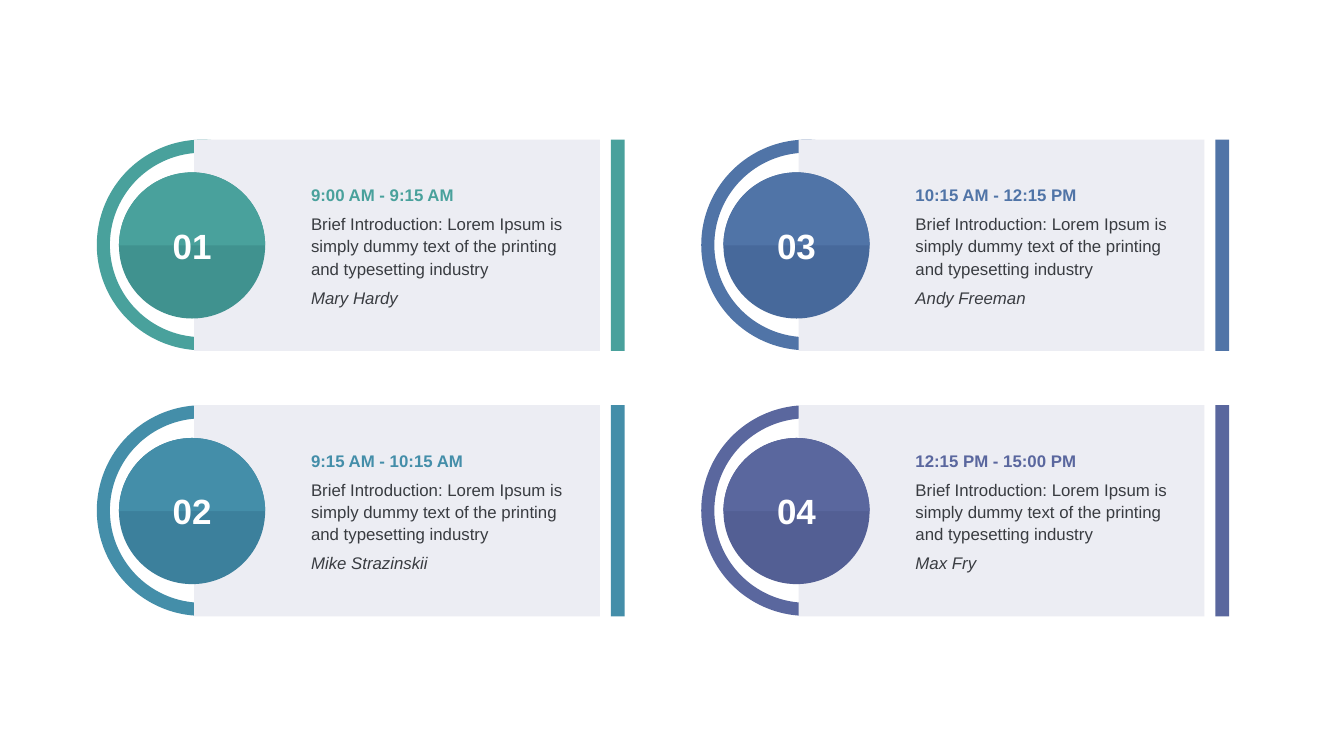
from math import cos, pi, sin

from pptx import Presentation
from pptx.dml.color import RGBColor
from pptx.enum.shapes import MSO_SHAPE
from pptx.enum.text import MSO_ANCHOR, MSO_AUTO_SIZE, PP_ALIGN
from pptx.util import Inches, Pt

RECT, OVAL, DONUT = MSO_SHAPE.RECTANGLE, MSO_SHAPE.OVAL, MSO_SHAPE.DONUT
MIDDLE = MSO_ANCHOR.MIDDLE
GROW, FIXED = MSO_AUTO_SIZE.SHAPE_TO_FIT_TEXT, MSO_AUTO_SIZE.NONE
LEFT, CENTER = PP_ALIGN.LEFT, PP_ALIGN.CENTER

FONT = "Arial"
PANEL, INK, WHITE = "ECEDF3", "393C41", "FFFFFF"
CARD_X, CARD_Y = 1.92, 2.77
COLUMN_STEP, ROW_STEP = 11.99, 5.27
ROWS = 2
RING_SIZE, RING_WIDTH = 4.18, 0.26
DISC_RADIUS = 1.45
INSET = 0.06
INTRO = "Brief Introduction: Lorem Ipsum is simply dummy text of the printing and typesetting industry"
SESSIONS = [
    ("9:00 AM - 9:15 AM", "Mary Hardy", "49A19C", "40928F"),
    ("9:15 AM - 10:15 AM", "Mike Strazinskii", "448EA9", "3C809C"),
    ("10:15 AM - 12:15 PM", "Andy Freeman", "5074A7", "47699B"),
    ("12:15 PM - 15:00 PM", "Max Fry", "5A679E", "535F94"),
]


def rgb(value):
    """Return the colour for a hex string."""
    return RGBColor.from_string(value)


def paint(s, color):
    """Give a shape a flat fill with no line or shadow."""
    s.shadow.inherit = False
    s.fill.solid()
    s.fill.fore_color.rgb = rgb(color)
    s.line.fill.background()


def add_flat(shapes, kind, x, y, w, h, color):
    """Add a flat preset shape."""
    s = shapes.add_shape(kind, Inches(x), Inches(y), Inches(w), Inches(h))
    paint(s, color)
    return s


def add_half_disc(shapes, cx, cy, radius, color):
    """Add the upper half of a disc centred on a point."""
    steps = 60
    points = [
        (Inches(cx - radius * cos(pi * i / steps)), Inches(cy - radius * sin(pi * i / steps)))
        for i in range(steps + 1)
    ]
    builder = shapes.build_freeform(*points[0])
    builder.add_line_segments(points[1:], close=True)
    paint(builder.convert_to_shape(), color)


def add_text(shapes, text, x, y, w, h, color, size=24, align=LEFT, spacing=1.1, fit=GROW, **styles):
    """Add a vertically centred text box with one paragraph."""
    tf = shapes.add_textbox(Inches(x), Inches(y), Inches(w), Inches(h)).text_frame
    margins = {f"margin_{side}": Inches(INSET) for side in ("left", "top", "right", "bottom")}
    frame_format = {"word_wrap": True, "auto_size": fit, "vertical_anchor": MIDDLE, **margins}
    for name, value in frame_format.items():
        setattr(tf, name, value)
    p = tf.paragraphs[0]
    p.alignment = align
    p.line_spacing = spacing
    r = p.add_run()
    r.text = text
    for name, value in {"name": FONT, "size": Pt(size), **styles}.items():
        setattr(r.font, name, value)
    r.font.color.rgb = rgb(color)


def add_card(slide, number, x, y, session):
    """Add one agenda card as a group."""
    time, speaker, color, shade = session
    shapes = slide.shapes.add_group_shape().shapes
    ring = add_flat(shapes, DONUT, x, y, RING_SIZE, RING_SIZE, color)
    ring.adjustments[0] = RING_WIDTH / RING_SIZE
    add_flat(shapes, RECT, x + 1.93, y, 8.05, 4.19, PANEL)
    add_flat(shapes, RECT, x + 10.2, y, 0.27, 4.19, color)

    cx, cy = x + 1.89, y + 2.1
    disc = 2 * DISC_RADIUS
    add_flat(shapes, OVAL, cx - DISC_RADIUS, cy - DISC_RADIUS, disc, disc, shade)
    add_half_disc(shapes, cx, cy, DISC_RADIUS, color)
    add_text(shapes, f"{number:02}", cx - 0.62, y + 1.48, 1.24, 1.23, WHITE,
             size=50, align=CENTER, spacing=1.0, fit=FIXED, bold=True)

    text_x = x + 4.19
    add_text(shapes, time, text_x, y + 0.8, 3.34, 0.55, color, bold=True)
    add_text(shapes, INTRO, text_x, y + 1.38, 5.29, 1.43, INK)
    add_text(shapes, speaker, text_x, y + 2.84, 4.39, 0.55, INK, italic=True)


def main():
    """Build the agenda slide."""
    prs = Presentation()
    prs.slide_width, prs.slide_height = Inches(26.66), Inches(15)
    slide = prs.slides.add_slide(prs.slide_layouts[6])
    for i, session in enumerate(SESSIONS):
        column, row = divmod(i, ROWS)
        add_card(slide, i + 1, CARD_X + column * COLUMN_STEP, CARD_Y + row * ROW_STEP, session)
    prs.save("out.pptx")


if __name__ == "__main__":
    main()
